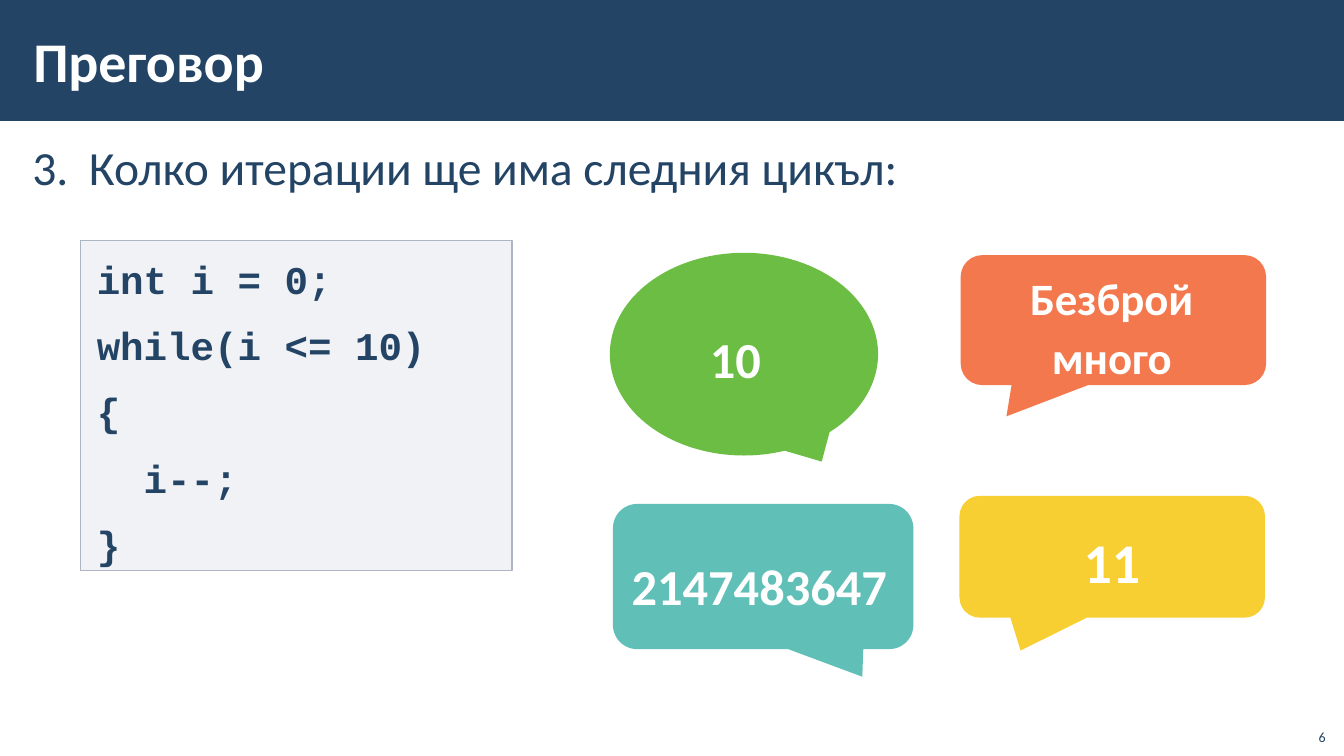
"""Build a quiz slide: a loop in code and four answer callouts."""
from lxml import etree
from pptx import Presentation
from pptx.dml.color import RGBColor
from pptx.enum.shapes import MSO_SHAPE
from pptx.enum.text import MSO_ANCHOR, MSO_AUTO_SIZE, PP_ALIGN
from pptx.oxml.ns import qn
from pptx.util import Pt

RECTANGLE = MSO_SHAPE.RECTANGLE
OVAL_CALLOUT = MSO_SHAPE.OVAL_CALLOUT
ROUNDED_CALLOUT = MSO_SHAPE.ROUNDED_RECTANGULAR_CALLOUT
TOP, MIDDLE, BOTTOM = MSO_ANCHOR.TOP, MSO_ANCHOR.MIDDLE, MSO_ANCHOR.BOTTOM
LEFT, CENTER, RIGHT = PP_ALIGN.LEFT, PP_ALIGN.CENTER, PP_ALIGN.RIGHT
FIT_SHAPE, NO_FIT = MSO_AUTO_SIZE.SHAPE_TO_FIT_TEXT, MSO_AUTO_SIZE.NONE

NAVY = RGBColor(0x23, 0x44, 0x65)
WHITE = RGBColor(0xFF, 0xFF, 0xFF)
GREEN = RGBColor(0x6C, 0xBD, 0x44)
YELLOW = RGBColor(0xF5, 0xC3, 0x00)
ORANGE = RGBColor(0xF1, 0x57, 0x21)
TEAL = RGBColor(0x60, 0xBF, 0xB7)
GRAY = RGBColor(0xA3, 0xAB, 0xBC)
GRAY_LINE = RGBColor(0xAD, 0xB4, 0xC3)

BODY_FONT, CODE_FONT = "Calibri", "Courier New"
WIDE_INSETS, SLIM_INSETS = (11.5, 8.64), (8.64, 2.9)

TITLE = "Преговор"
QUESTION = "Колко итерации ще има следния цикъл:"
QUESTION_NUMBER = 3
CODE = ["int i = 0;", "while(i <= 10)", "{", "  i--;", "}"]
PAGE_NUMBER = "6"
ANSWERS = [
    dict(text="10", size=36, preset=OVAL_CALLOUT, color=GREEN, opacity=100,
         callout=(435.6, 180.6, 191.6, 144.8), tail=(0.29, 0.53),
         label=(389.6, 226, 235.4, 60.6), indent=36, spacing=1),
    dict(text="11", size=40, preset=ROUNDED_CALLOUT, color=YELLOW, opacity=80,
         callout=(685.4, 354.2, 218.2, 87), tail=(-0.3, 0.77),
         label=(686.2, 363.6, 216, 67.7), indent=0, spacing=1.1),
    dict(text="Безброй много", size=32, preset=ROUNDED_CALLOUT, color=ORANGE, opacity=80,
         callout=(686.2, 182.2, 218.2, 92.9), tail=(-0.35, 0.74),
         label=(683.3, 180.7, 221.8, 100), indent=0, spacing=1.1),
    dict(text="2147483647", size=36, preset=ROUNDED_CALLOUT, color=TEAL, opacity=100,
         callout=(437.8, 360, 214.6, 103.7), tail=(0.33, 0.69),
         label=(433.4, 383.8, 218.2, 62.6), indent=0, spacing=1.1),
]


def set_frame(shape, insets, anchor=TOP, auto_size=NO_FIT):
    frame = shape.text_frame
    frame.word_wrap = True
    frame.auto_size = auto_size
    frame.vertical_anchor = anchor
    frame.margin_left = frame.margin_right = Pt(insets[0])
    frame.margin_top = frame.margin_bottom = Pt(insets[1])
    return frame


def write(paragraph, text, size, color, bold=True, font=BODY_FONT,
          align=LEFT, spacing=1, gap=0):
    paragraph.alignment = align
    paragraph.line_spacing = spacing
    paragraph.space_before = paragraph.space_after = Pt(gap)
    run = paragraph.add_run()
    run.text = text
    run.font.name = font
    run.font.size = Pt(size)
    run.font.bold = bold
    run.font.color.rgb = color


def add_filled(shapes, preset, box, color, opacity=100):
    shape = shapes.add_shape(preset, *map(Pt, box))
    shape.shadow.inherit = False
    shape.fill.solid()
    shape.fill.fore_color.rgb = color
    shape.line.fill.background()
    if opacity < 100:
        color_element = shape.element.spPr.find(qn("a:solidFill"))[0]
        etree.SubElement(color_element, qn("a:alpha"), val=str(opacity * 1000))
    return shape


def add_answer(slide, answer):
    shapes = slide.shapes.add_group_shape().shapes
    callout = add_filled(shapes, answer["preset"], answer["callout"],
                         answer["color"], answer["opacity"])
    for index, value in enumerate(answer["tail"]):
        callout.adjustments[index] = value
    label = shapes.add_textbox(*map(Pt, answer["label"]))
    paragraph = set_frame(label, WIDE_INSETS, auto_size=FIT_SHAPE).paragraphs[0]
    write(paragraph, answer["text"], answer["size"], WHITE,
          align=CENTER, spacing=answer["spacing"])
    paragraph._p.get_or_add_pPr().set("marL", str(Pt(answer["indent"])))


presentation = Presentation()
presentation.slide_width, presentation.slide_height = Pt(960), Pt(540)
slide = presentation.slides.add_slide(presentation.slide_layouts[5])

title = slide.shapes.title
title.left, title.top, title.width, title.height = map(Pt, (15.1, 7.9, 765.4, 69.8))
write(set_frame(title, SLIM_INSETS, MIDDLE).paragraphs[0], TITLE, 40, WHITE)
header = add_filled(slide.shapes, RECTANGLE, (0, 0, 960, 86.4), NAVY)
title.element.addprevious(header.element)

question = slide.shapes.add_textbox(*map(Pt, (14.4, 93.6, 929.5, 408.2)))
paragraph = set_frame(question, SLIM_INSETS).paragraphs[0]
write(paragraph, QUESTION, 34, NAVY, bold=False, spacing=1.05, gap=6)
properties = paragraph._p.get_or_add_pPr()
properties.set("marL", str(Pt(40.5)))
properties.set("indent", str(-Pt(40.5)))
etree.SubElement(properties, qn("a:buFont"), typeface="+mj-lt")
etree.SubElement(properties, qn("a:buAutoNum"), type="arabicPeriod",
                 startAt=str(QUESTION_NUMBER))

for answer in ANSWERS:
    add_answer(slide, answer)

code_box = add_filled(slide.shapes, RECTANGLE, (57.6, 172, 308.2, 235.4), GRAY, 15)
code_box.line.color.rgb = GRAY_LINE
code_box.line.width = Pt(1)
frame = set_frame(code_box, WIDE_INSETS, auto_size=FIT_SHAPE)
for index, line in enumerate(CODE):
    paragraph = frame.add_paragraph() if index else frame.paragraphs[0]
    write(paragraph, line, 28, NAVY, font=CODE_FONT, spacing=1.05, gap=6)

page = slide.shapes.add_textbox(*map(Pt, (925.2, 512.6, 28.8, 23)))
write(set_frame(page, (7.2, 3.6), BOTTOM).paragraphs[0], PAGE_NUMBER, 10, NAVY,
      bold=False, align=RIGHT)

presentation.save("out.pptx")
